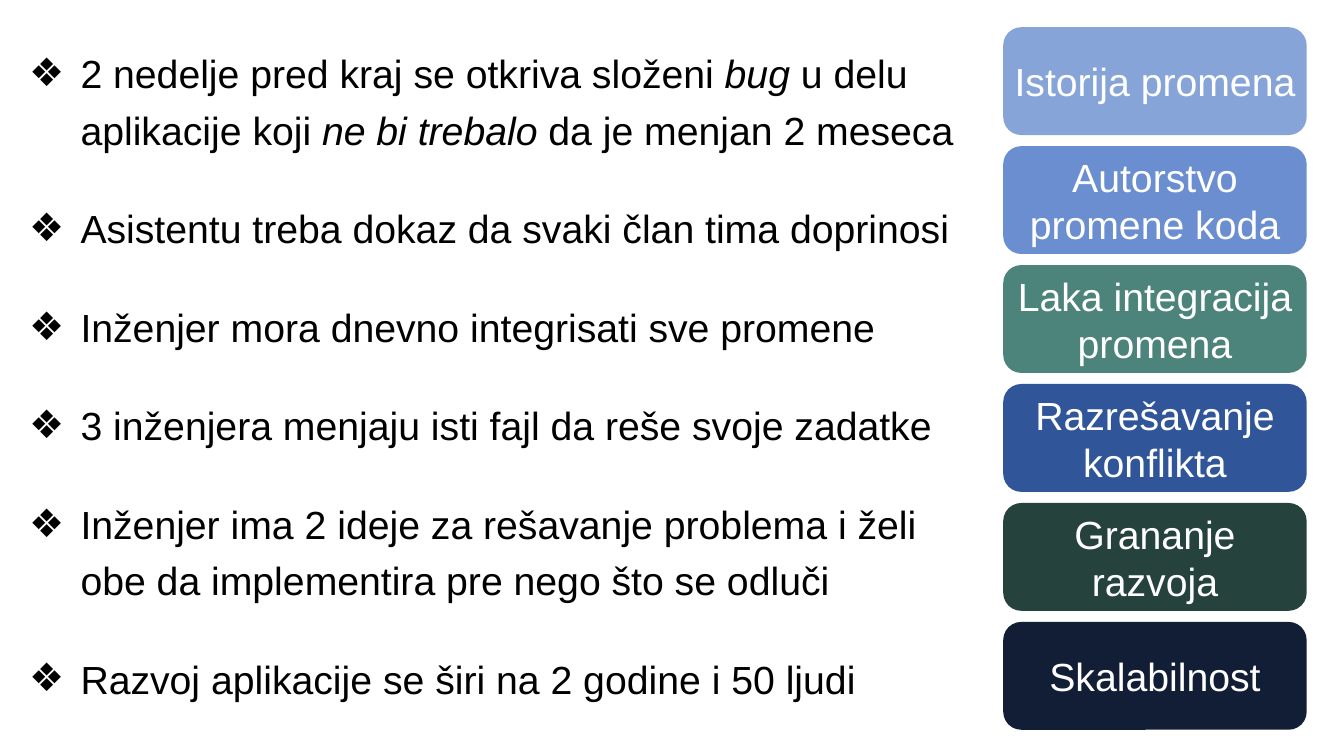
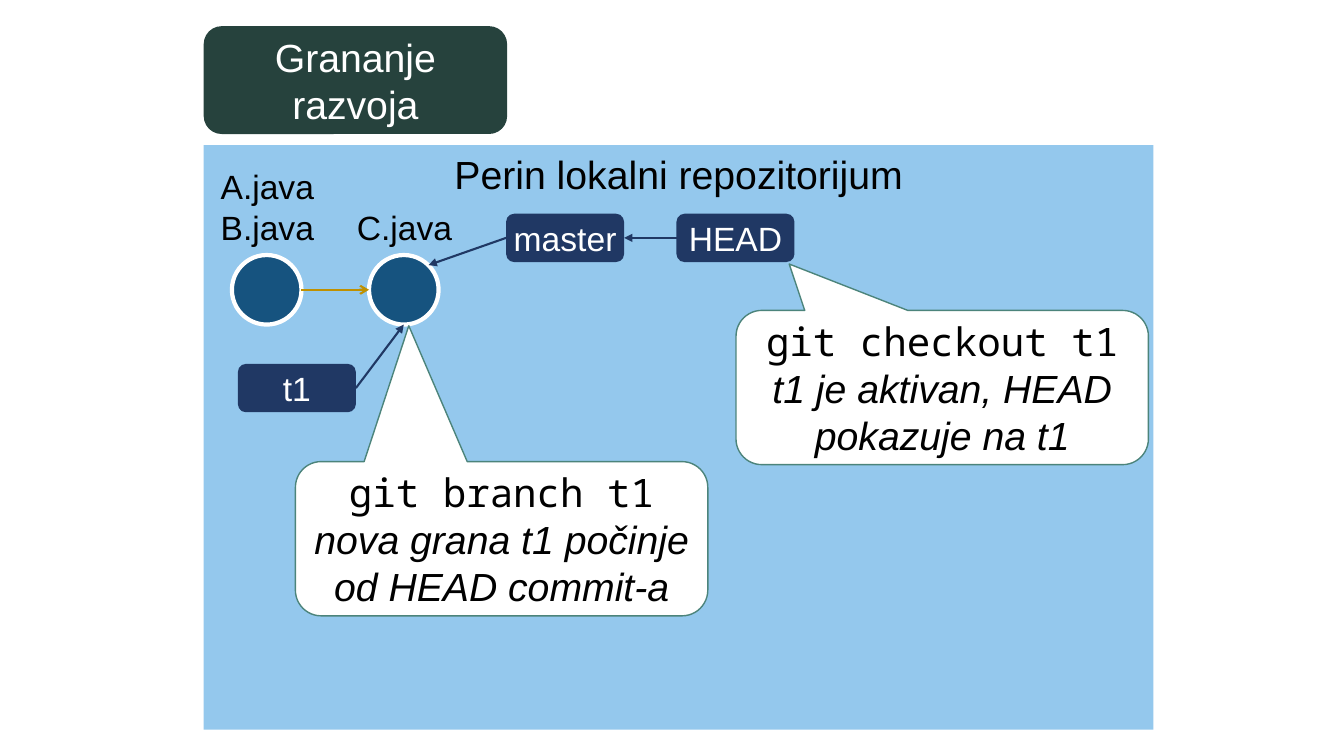
import pptx
import pptx.dml.color
import pptx.enum.shapes
import pptx.enum.text
import pptx.oxml.ns
import pptx.util
from dataclasses import dataclass
from lxml import etree

Inches = pptx.util.Inches
Shapes = pptx.enum.shapes.MSO_SHAPE
Align = pptx.enum.text.PP_ALIGN
Anchor = pptx.enum.text.MSO_ANCHOR


@dataclass(frozen=True)
class Theme:
    font: str = "Arial"
    code_font: str = "Noto Sans Mono"
    body_size: int = 28
    label_size: int = 24
    black: str = "000000"
    white: str = "FFFFFF"
    history: str = "87A4D9"
    authorship: str = "6A8ED0"
    integration: str = "4C847B"
    conflict: str = "305598"
    branching: str = "26423D"
    scaling: str = "111E35"
    repository: str = "94C8ED"
    commit: str = "16537F"
    reference: str = "203864"
    history_arrow: str = "BF9000"


THEME = Theme()
TAG_WIDTH, TAG_HEIGHT, TAG_PITCH = 3.01, 1.07, 1.18
COMMIT_SIZE = 0.69
REFERENCE_WIDTH, REFERENCE_HEIGHT = 1.17, 0.48
CALLOUT_WIDTH, CALLOUT_HEIGHT = 4.09, 1.53


def rgb(value):
    return pptx.dml.color.RGBColor.from_string(value)


def box(left, top, width, height):
    return [Inches(value) for value in (left, top, width, height)]


def write_text(frame, paragraphs, size=THEME.body_size, color=THEME.black,
               align=Align.LEFT, anchor=Anchor.TOP, side=0.1, bullet=None,
               line_spacing=None, space_after=None):
    """Each paragraph is a string or a list of (text, font, italic) runs."""
    frame.word_wrap = True
    frame.auto_size = pptx.enum.text.MSO_AUTO_SIZE.NONE
    frame.vertical_anchor = anchor
    frame.margin_left = frame.margin_right = Inches(side)
    frame.margin_top = frame.margin_bottom = Inches(0.05)
    for index, content in enumerate(paragraphs):
        paragraph = frame.add_paragraph() if index else frame.paragraphs[0]
        paragraph.alignment = align
        if line_spacing:
            paragraph.line_spacing = line_spacing
        if space_after:
            paragraph.space_after = pptx.util.Pt(space_after)
        if bullet:
            add_bullet(paragraph, bullet)
        if isinstance(content, str):
            content = [(content, THEME.font, False)]
        for text, font, italic in content:
            run = paragraph.add_run()
            run.text = text
            run.font.name = font
            run.font.size = pptx.util.Pt(size)
            run.font.italic = italic
            run.font.color.rgb = rgb(color)


def add_bullet(paragraph, character, indent=0.51):
    properties = paragraph._p.get_or_add_pPr()
    properties.set("marL", str(Inches(indent)))
    properties.set("indent", str(-Inches(indent)))
    qn = pptx.oxml.ns.qn
    etree.SubElement(properties, qn("a:buFont")).set("typeface", THEME.font)
    etree.SubElement(properties, qn("a:buChar")).set("char", character)


def add_block(slide, kind, area, fill, line=None, line_width=1):
    shape = slide.shapes.add_shape(kind, *box(*area))
    shape.shadow.inherit = False
    shape.fill.solid()
    shape.fill.fore_color.rgb = rgb(fill)
    if line:
        shape.line.color.rgb = rgb(line)
        shape.line.width = pptx.util.Pt(line_width)
    else:
        shape.line.fill.background()
    return shape


def add_text_box(slide, area, paragraphs, **text_format):
    write_text(slide.shapes.add_textbox(*box(*area)).text_frame, paragraphs, **text_format)


def add_arrow(slide, start, end, color, head="triangle", source=None, target=None):
    """Source and target are (shape, side) pairs to join the ends to."""
    arrow = slide.shapes.add_connector(
        pptx.enum.shapes.MSO_CONNECTOR.STRAIGHT, *box(*start, *end))
    if source:
        arrow.begin_connect(*source)
    if target:
        arrow.end_connect(*target)
    arrow.line.color.rgb = rgb(color)
    arrow.line.width = pptx.util.Pt(1.5)
    qn = pptx.oxml.ns.qn
    etree.SubElement(arrow.line._get_or_add_ln(), qn("a:tailEnd")).set("type", head)
    etree.SubElement(arrow._element.spPr, qn("a:effectLst"))


def write_tag(frame, text):
    write_text(frame, [text], color=THEME.white, align=Align.CENTER,
               anchor=Anchor.MIDDLE, side=0.04)


def add_tag_block(slide, left, top, fill):
    return add_block(slide, Shapes.ROUNDED_RECTANGLE,
                     (left, top, TAG_WIDTH, TAG_HEIGHT), fill)


def add_commit(slide, left, top):
    add_block(slide, Shapes.OVAL, (left, top, COMMIT_SIZE, COMMIT_SIZE),
              THEME.commit, line=THEME.white, line_width=3)


def add_reference(slide, left, top, name):
    shape = add_block(slide, Shapes.ROUNDED_RECTANGLE,
                      (left, top, REFERENCE_WIDTH, REFERENCE_HEIGHT), THEME.reference)
    write_text(shape.text_frame, [name], size=THEME.label_size, color=THEME.white,
               align=Align.CENTER, anchor=Anchor.MIDDLE, side=0)
    return shape


def add_command(slide, left, top, pointer, command, explanation):
    callout = add_block(slide, Shapes.ROUNDED_RECTANGULAR_CALLOUT,
                        (left, top, CALLOUT_WIDTH, CALLOUT_HEIGHT),
                        THEME.white, line=THEME.integration)
    callout.adjustments[0], callout.adjustments[1] = pointer
    write_text(callout.text_frame,
               [[(command, THEME.code_font, False)], [(explanation, THEME.font, True)]],
               align=Align.CENTER, anchor=Anchor.MIDDLE)


def add_tag_column(slide, left, top):
    tags = [
        ("Istorija promena", THEME.history),
        ("Autorstvo promene koda", THEME.authorship),
        ("Laka integracija promena", THEME.integration),
        ("Razrešavanje konflikta", THEME.conflict),
        ("Grananje razvoja", THEME.branching),
        ("Skalabilnost", THEME.scaling),
    ]
    for row, (text, fill) in enumerate(tags):
        tag = add_tag_block(slide, left, top + row * TAG_PITCH, fill)
        write_tag(tag.text_frame, text)


def add_scenarios(slide, area):
    plain, italic = (THEME.font, False), (THEME.font, True)
    add_text_box(slide, area, [
        [("2 nedelje pred kraj se otkriva složeni ", *plain), ("bug", *italic),
         (" u delu aplikacije koji ", *plain), ("ne bi trebalo", *italic),
         (" da je menjan 2 meseca", *plain)],
        "Asistentu treba dokaz da svaki član tima doprinosi",
        "Inženjer mora dnevno integrisati sve promene",
        "3 inženjera menjaju isti fajl da reše svoje zadatke",
        "Inženjer ima 2 ideje za rešavanje problema i želi obe da implementira"
        " pre nego što se odluči",
        "Razvoj aplikacije se širi na 2 godine i 50 ljudi",
    ], bullet="❖", line_spacing=1.2, space_after=30)


def add_repository(slide, left, top, width, height):
    panel = add_block(slide, Shapes.RECTANGLE, (left, top, width, height), THEME.repository)
    write_text(panel.text_frame, ["Perin lokalni repozitorijum"],
               align=Align.CENTER, side=0)

    # Commits and their files
    first, second, commit_top = left + 0.28, left + 1.64, top + 1.09
    commit_middle = commit_top + COMMIT_SIZE / 2
    add_commit(slide, first, commit_top)
    add_commit(slide, second, commit_top)
    add_arrow(slide, (first + COMMIT_SIZE, commit_middle), (second, commit_middle),
              THEME.history_arrow, head="arrow")
    add_text_box(slide, (left + 0.07, top + 0.16, 1.25, 0.91), ["A.java", "B.java"],
                 size=THEME.label_size)
    add_text_box(slide, (left + 1.42, top + 0.56, 1.25, 0.5), ["C.java"],
                 size=THEME.label_size)

    # Branches and the active pointer
    master = add_reference(slide, left + 3, top + 0.68, "master")
    head = add_reference(slide, left + 4.69, top + 0.68, "HEAD")
    branch = add_reference(slide, left + 0.34, top + 2.17, "t1")
    second_corner = (second + 0.59, commit_top + 0.1)
    second_bottom = (second + COMMIT_SIZE / 2, commit_top + COMMIT_SIZE)
    add_arrow(slide, second_corner, second_corner, THEME.reference, source=(master, 1))
    add_arrow(slide, second_bottom, second_bottom, THEME.reference, source=(branch, 3))
    add_arrow(slide, (left, top), (left, top), THEME.reference,
              source=(head, 1), target=(master, 3))

    # Commands
    add_command(slide, left + 0.91, top + 3.14, (-0.225, -1.381),
                "git branch t1", "nova grana t1 počinje od HEAD commit-a")
    add_command(slide, left + 5.28, top + 1.64, (-0.371, -0.801),
                "git checkout t1", "t1 je aktivan, HEAD pokazuje na t1")


def build_overview(presentation):
    slide = presentation.slides.add_slide(presentation.slide_layouts[6])
    add_scenarios(slide, (0.19, 0.35, 9.58, 6.68))
    add_tag_column(slide, 9.95, 0.27)


def build_branching(presentation):
    slide = presentation.slides.add_slide(presentation.slide_layouts[5])
    left, top = 2.02, 0.26
    add_tag_block(slide, left, top, THEME.branching)

    # The title is lifted above its coloured tag
    title = slide.shapes.title
    title.left, title.top, title.width, title.height = box(left, top, TAG_WIDTH, TAG_HEIGHT)
    write_tag(title.text_frame, "Grananje razvoja")
    slide.shapes._spTree.append(title._element)

    add_repository(slide, left, top + TAG_PITCH, 9.42, 5.8)


def main():
    presentation = pptx.Presentation()
    presentation.slide_width = Inches(13.33)
    presentation.slide_height = Inches(7.5)
    build_overview(presentation)
    build_branching(presentation)
    presentation.save("out.pptx")


if __name__ == "__main__":
    main()
